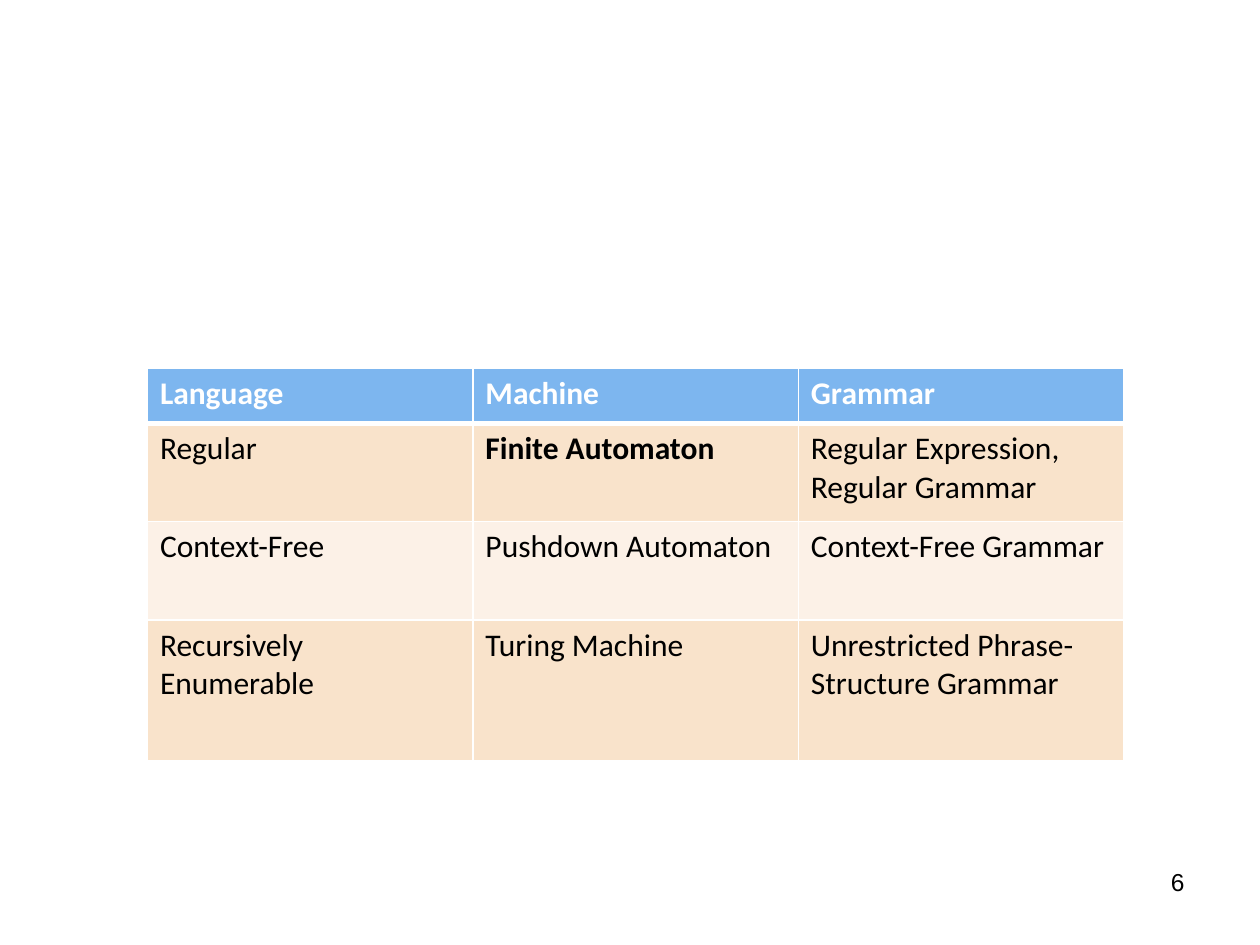
import pptx
import pptx.dml.color
import pptx.enum.text
import pptx.oxml
import pptx.oxml.ns
import pptx.util
from pptx.util import Inches

WHITE = pptx.dml.color.RGBColor(0xFF, 0xFF, 0xFF)
BLACK = pptx.dml.color.RGBColor(0x00, 0x00, 0x00)
HEADER_BLUE = pptx.dml.color.RGBColor(0x7D, 0xB6, 0xEF)
BAND_DARK = pptx.dml.color.RGBColor(0xF9, 0xE3, 0xCB)
BAND_LIGHT = pptx.dml.color.RGBColor(0xFC, 0xF1, 0xE7)

THIN_BORDER = 0.96
HEADER_BORDER = 3
ROW_HEIGHTS = [0.44, 0.78, 0.78, 1.12]
ROWS = [
    ["Language", "Machine", "Grammar"],
    ["Regular", "Finite Automaton", "Regular Expression,\nRegular Grammar"],
    ["Context-Free", "Pushdown Automaton", "Context-Free Grammar"],
    ["Recursively Enumerable", "Turing Machine", "Unrestricted Phrase-Structure Grammar"],
]
BOLD_TEXTS = ROWS[0] + ["Finite Automaton"]


def add_run(paragraph, text, font_name, size, color, bold=False):
    run = paragraph.add_run()
    run.text = text
    run.font.name = font_name
    run.font.size = pptx.util.Pt(size)
    run.font.color.rgb = color
    run.font.bold = bold


def set_borders(cell, top, bottom):
    """Draw white cell borders; top and bottom are widths in points."""
    properties = cell._tc.get_or_add_tcPr()
    widths = {"L": THIN_BORDER, "R": THIN_BORDER, "T": top, "B": bottom}
    for side, width in widths.items():
        properties.append(pptx.oxml.parse_xml(
            f'<a:ln{side} {pptx.oxml.ns.nsdecls("a")} w="{pptx.util.Pt(width)}">'
            f'<a:solidFill><a:srgbClr val="{WHITE}"/></a:solidFill></a:ln{side}>'))


def fill_cell(cell, text, row_index):
    set_borders(cell,
                top=HEADER_BORDER if row_index == 1 else THIN_BORDER,
                bottom=HEADER_BORDER if row_index == 0 else THIN_BORDER)
    is_header = row_index == 0
    band = BAND_DARK if row_index % 2 else BAND_LIGHT
    cell.fill.solid()
    cell.fill.fore_color.rgb = HEADER_BLUE if is_header else band
    for line_index, line in enumerate(text.split("\n")):
        frame = cell.text_frame
        paragraph = frame.add_paragraph() if line_index else frame.paragraphs[0]
        add_run(paragraph, line, "Calibri", 18,
                WHITE if is_header else BLACK, text in BOLD_TEXTS)


def add_language_table(slide, left, top, width):
    table = slide.shapes.add_table(
        len(ROWS), len(ROWS[0]), left, top, width, Inches(sum(ROW_HEIGHTS))).table
    for row, height in zip(table.rows, ROW_HEIGHTS):
        row.height = Inches(height)
    for row_index, texts in enumerate(ROWS):
        for column_index, text in enumerate(texts):
            fill_cell(table.cell(row_index, column_index), text, row_index)


def add_page_number(slide, left, top, width, height):
    frame = slide.shapes.add_textbox(left, top, width, height).text_frame
    frame.word_wrap = True
    paragraph = frame.paragraphs[0]
    paragraph.alignment = pptx.enum.text.PP_ALIGN.RIGHT
    add_run(paragraph, "6", "Arial", 14, BLACK)


def main():
    presentation = pptx.Presentation()
    presentation.slide_width = Inches(10)
    presentation.slide_height = Inches(7.5)
    slide = presentation.slides.add_slide(presentation.slide_layouts[6])
    add_language_table(slide, Inches(1.17), Inches(2.92), Inches(7.75))
    add_page_number(slide, Inches(7.17), Inches(6.83), Inches(2.33), Inches(0.52))
    presentation.save("out.pptx")


if __name__ == "__main__":
    main()
